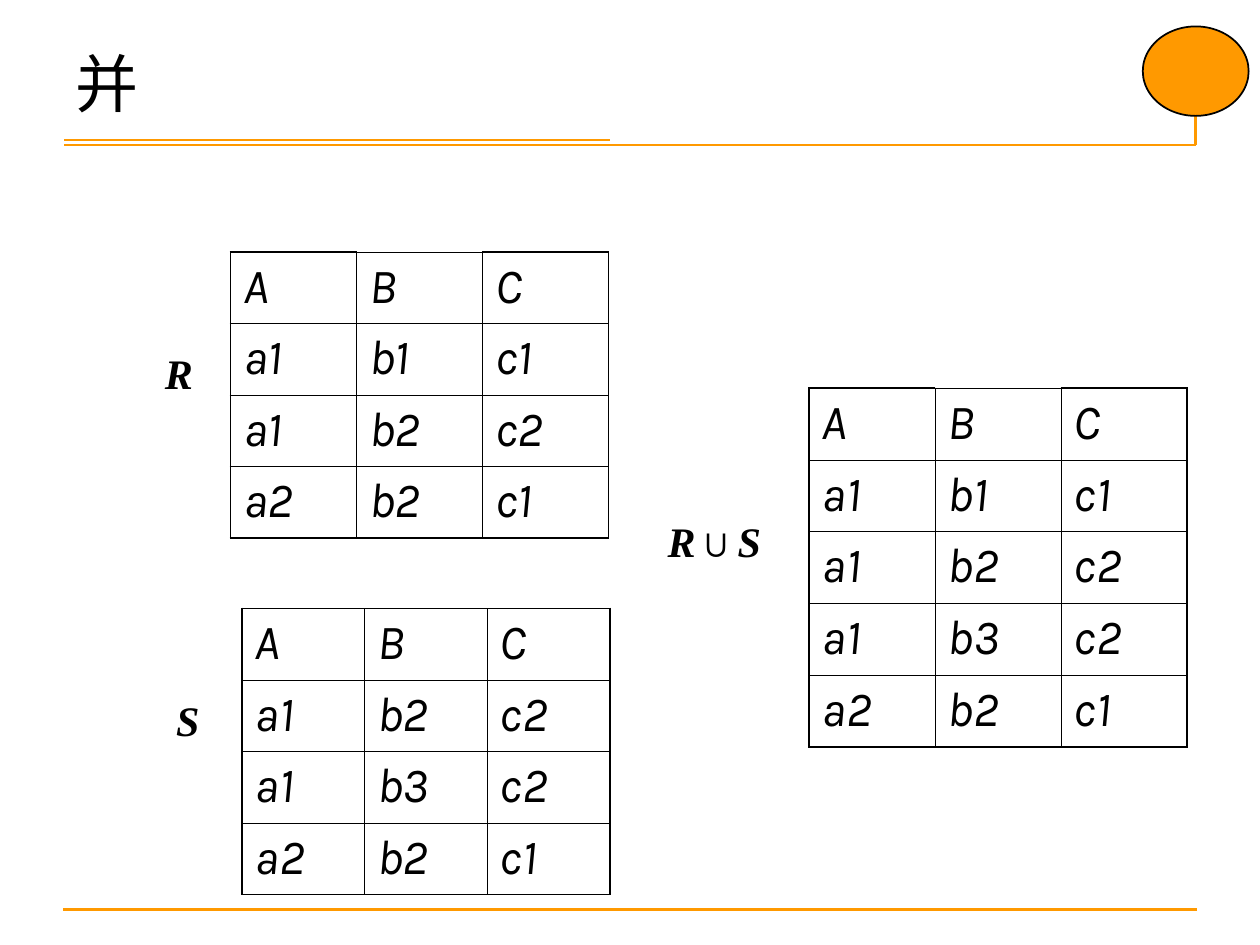
from typing import NamedTuple

from lxml import etree
from pptx import Presentation
from pptx import util as u
from pptx.dml.color import RGBColor
from pptx.enum import shapes, text
from pptx.oxml.ns import qn

PX = 9144
ORANGE = "FF9900"
BLACK = "000000"
SERIF = "Times New Roman"
THIN, THICK = 0.45, 1.08


class Rule(NamedTuple):
    x1: int
    y1: int
    x2: int
    y2: int


class Label(NamedTuple):
    x: int
    y: int
    width: int
    height: int
    runs: tuple[tuple[str, bool], ...]


class Relation(NamedTuple):
    x: int
    y: int
    width: int
    height: int
    tuples: tuple[str, ...]


RULES = [
    Rule(50, 722, 950, 722),
    Rule(51, 115, 949, 115),
    Rule(949, 28, 949, 115),
    Rule(51, 111, 484, 111),
]
RELATIONS = [
    Relation(183, 200, 300, 227, ("A B C", "a1 b1 c1", "a1 b2 c2", "a2 b2 c1")),
    Relation(642, 308, 300, 285, ("A B C", "a1 b1 c1", "a1 b2 c2", "a1 b3 c2", "a2 b2 c1")),
    Relation(192, 483, 292, 227, ("A B C", "a1 b2 c2", "a1 b3 c2", "a2 b2 c1")),
]
LABELS = [
    Label(121, 250, 41, 92, (("R", True),)),
    Label(130, 525, 38, 92, (("S", True),)),
    Label(515, 383, 112, 92, (("R", True), ("∪", False), ("S ", True))),
]


def color(value: str) -> RGBColor:
    return RGBColor.from_string(value)


def emu(*lengths: int) -> list[int]:
    return [length * PX for length in lengths]


def style(font, name: str, size: int, value: str) -> None:
    font.name = name
    font.size = u.Pt(size)
    font.color.rgb = color(value)


def draw_rule(slide, rule: Rule) -> None:
    line = slide.shapes.add_connector(shapes.MSO_CONNECTOR.STRAIGHT, *emu(*rule))
    line.line.color.rgb = color(ORANGE)
    line.line.width = u.Pt(1.5)
    etree.SubElement(line._element.spPr, qn("a:effectLst"))


def draw_corner_dot(slide) -> None:
    dot = slide.shapes.add_shape(shapes.MSO_SHAPE.OVAL, *emu(907, 21, 84, 71))
    dot.shadow.inherit = False
    dot.fill.solid()
    dot.fill.fore_color.rgb = color(ORANGE)
    dot.line.color.rgb = color(BLACK)
    dot.line.width = u.Pt(1)


def draw_title(slide) -> None:
    frame = slide.shapes.add_textbox(*emu(50, 30, 900, 85)).text_frame
    frame.word_wrap = True
    title = frame.paragraphs[0]
    title.text = "并"
    style(title.font, SERIF, 36, BLACK)


def draw_label(slide, label: Label) -> None:
    frame = slide.shapes.add_textbox(*emu(*label[:4])).text_frame
    frame.word_wrap = False
    frame.vertical_anchor = text.MSO_ANCHOR.MIDDLE
    formula = frame.paragraphs[0]
    formula.alignment = text.PP_ALIGN.CENTER
    style(formula.font, SERIF, 24, BLACK)
    formula.font.bold = True
    for symbol, italic in label.runs:
        run = formula.add_run()
        run.text = symbol
        run.font.italic = italic


def set_border(cell, side: str, width: float) -> None:
    border = etree.SubElement(cell._tc.get_or_add_tcPr(), qn(f"a:ln{side}"), w=str(u.Pt(width)))
    fill = etree.SubElement(border, qn("a:solidFill"))
    etree.SubElement(fill, qn("a:srgbClr"), val=BLACK)


def draw_relation(slide, relation: Relation) -> None:
    rows = [line.split() for line in relation.tuples]
    last_row, last_col = len(rows) - 1, len(rows[0]) - 1
    table = slide.shapes.add_table(last_row + 1, last_col + 1, *emu(*relation[:4])).table
    table.first_row = table.horz_banding = False
    for r, values in enumerate(rows):
        for c, value in enumerate(values):
            cell = table.cell(r, c)
            thick = {
                "L": c == 0,
                "R": c == last_col,
                "T": r == 0 and c in (0, last_col),
                "B": r == last_row,
            }
            for side, is_thick in thick.items():
                set_border(cell, side, THICK if is_thick else THIN)
            cell.fill.background()
            entry = cell.text_frame.paragraphs[0]
            entry.text = value
            style(entry.font, "Karla", 28, BLACK)
            entry.font.italic = True


def main() -> None:
    deck = Presentation()
    deck.slide_width, deck.slide_height = emu(1000, 750)
    slide = deck.slides.add_slide(deck.slide_layouts[6])
    for rule in RULES:
        draw_rule(slide, rule)
    draw_corner_dot(slide)
    draw_title(slide)
    for relation in RELATIONS:
        draw_relation(slide, relation)
    for label in LABELS:
        draw_label(slide, label)
    deck.save("out.pptx")


if __name__ == "__main__":
    main()
